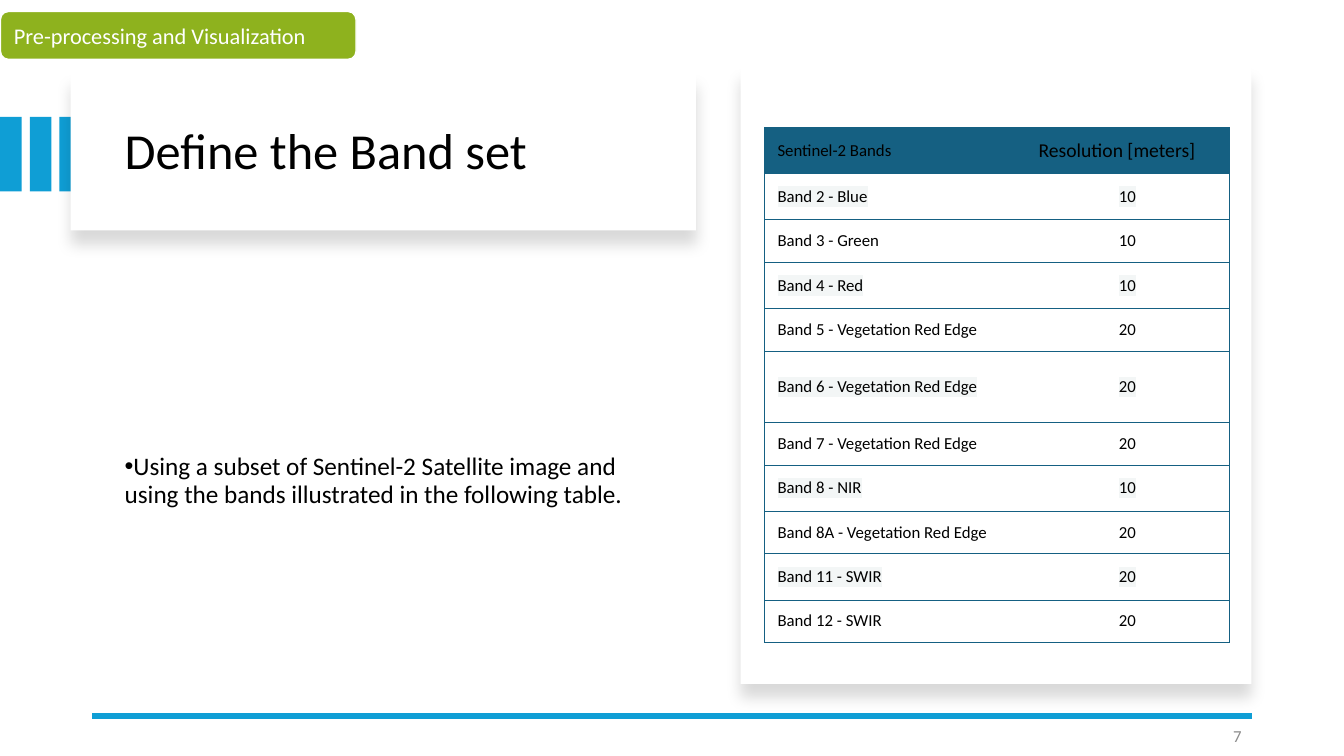
from dataclasses import dataclass

from lxml.etree import SubElement
from pptx import Presentation
from pptx.dml.color import RGBColor
from pptx.enum.shapes import MSO_CONNECTOR, MSO_SHAPE
from pptx.enum.text import MSO_ANCHOR, PP_ALIGN
from pptx.oxml.ns import qn
from pptx.shapes.autoshape import Shape
from pptx.slide import Slide
from pptx.table import _Cell
from pptx.text.text import TextFrame, _Paragraph
from pptx.util import Pt

HUES = {
    "sky": "0F9ED5",
    "teal": "156082",
    "green": "8EB21E",
    "white": "FFFFFF",
    "black": "000000",
    "gray": "8C8C8C",
    "mist": "F3F6F6",
}
FACE = "Calibri"


@dataclass
class Box:
    left: float
    top: float
    width: float
    height: float

    def spot(self) -> tuple[Pt, Pt, Pt, Pt]:
        return Pt(self.left), Pt(self.top), Pt(self.width), Pt(self.height)


@dataclass
class Label:
    box: Box
    text: str
    size: float
    hue: str = "black"
    align: PP_ALIGN = PP_ALIGN.LEFT
    after: float = 0
    lines: float = 1.0
    bullet: bool = False


@dataclass
class Band:
    name: str
    meters: int
    height: float


def color(hue: str) -> RGBColor:
    return RGBColor.from_string(HUES[hue])


def style(para: _Paragraph, size: float, hue: str) -> None:
    para.font.name = FACE
    para.font.size = Pt(size)
    para.font.color.rgb = color(hue)


def inset(frame: TextFrame | _Cell, side: float, edge: float) -> None:
    frame.margin_left = frame.margin_right = Pt(side)
    frame.margin_top = frame.margin_bottom = Pt(edge)


def add_block(slide: Slide, box: Box, hue: str, kind: MSO_SHAPE = MSO_SHAPE.RECTANGLE) -> Shape:
    shape = slide.shapes.add_shape(kind, *box.spot())
    shape.shadow.inherit = False
    shape.fill.solid()
    shape.fill.fore_color.rgb = color(hue)
    shape.line.fill.background()
    return shape


def add_panel(slide: Slide, box: Box) -> None:
    shape = add_block(slide, box, "white")
    glow = SubElement(shape.element.spPr.find(qn("a:effectLst")), qn("a:outerShdw"),
                      blurRad=str(Pt(11)), dist=str(Pt(10)), dir="5400000",
                      algn="t", rotWithShape="0")
    tint = SubElement(glow, qn("a:srgbClr"), val=HUES["black"])
    SubElement(tint, qn("a:alpha"), val="15000")


def add_label(slide: Slide, label: Label) -> None:
    frame = slide.shapes.add_textbox(*label.box.spot()).text_frame
    frame.word_wrap = True
    frame.vertical_anchor = MSO_ANCHOR.MIDDLE
    para = frame.paragraphs[0]
    para.text = label.text
    para.alignment = label.align
    para.line_spacing = label.lines
    para.space_after = Pt(label.after)
    if label.bullet:
        props = para._p.get_or_add_pPr()
        props.set("marL", "0")
        props.set("indent", str(Pt(-18)))
        SubElement(props, qn("a:buFont"), typeface="Arial")
        SubElement(props, qn("a:buChar"), char="•")
    style(para, label.size, label.hue)


def add_edges(cell: _Cell, sides: str) -> None:
    props = cell._tc.get_or_add_tcPr()
    for side in "LRTB":
        line = SubElement(props, qn(f"a:ln{side}"), w=str(Pt(0.5)))
        if side in sides:
            fill = SubElement(line, qn("a:solidFill"))
            SubElement(fill, qn("a:srgbClr"), val=HUES["teal"])
        else:
            SubElement(line, qn("a:noFill"))


def fill_cell(cell: _Cell, text: str, size: float, sides: str,
              align: PP_ALIGN = PP_ALIGN.LEFT, mark: bool = False) -> None:
    inset(cell, 9.4, 4.7)
    cell.vertical_anchor = MSO_ANCHOR.MIDDLE
    add_edges(cell, sides)
    para = cell.text_frame.paragraphs[0]
    para.text = text
    para.alignment = align
    style(para, size, "black")
    if mark:
        light = SubElement(para.runs[0]._r.get_or_add_rPr(), qn("a:highlight"))
        SubElement(light, qn("a:srgbClr"), val=HUES["mist"])


def add_bands(slide: Slide, box: Box, bands: list[Band]) -> None:
    table = slide.shapes.add_table(len(bands) + 1, 2, *box.spot()).table
    table.first_row = table.horz_banding = False
    # Plain style without grid
    table._tbl.tblPr.find(qn("a:tableStyleId")).text = "{2D5ABB26-0587-4C30-8999-92F81FD0307C}"
    for col, width in zip(table.columns, (186.5, 145.5)):
        col.width = Pt(width)
    # Header row
    table.rows[0].height = Pt(33)
    heads = (("Sentinel-2 Bands", 12, "LTB"), ("Resolution [meters]", 14, "RTB"))
    for cell, (text, size, sides) in zip(table.rows[0].cells, heads):
        fill_cell(cell, text, size, sides)
        cell.fill.solid()
        cell.fill.fore_color.rgb = color("teal")
    # Band rows, every other one marked
    for i, band in enumerate(bands):
        row = table.rows[i + 1]
        row.height = Pt(band.height)
        mark = i % 2 == 0
        fill_cell(row.cells[0], band.name, 12, "LTB", mark=mark)
        fill_cell(row.cells[1], str(band.meters), 12, "RTB", PP_ALIGN.CENTER, mark)
        for cell in row.cells:
            cell.fill.background()


BANDS = [
    Band("Band 2 - Blue", 10, 33),
    Band("Band 3 - Green", 10, 30.4),
    Band("Band 4 - Red", 10, 33),
    Band("Band 5 - Vegetation Red Edge", 20, 30.4),
    Band("Band 6 - Vegetation Red Edge", 20, 51),
    Band("Band 7 - Vegetation Red Edge", 20, 30.4),
    Band("Band 8 - NIR", 10, 33),
    Band("Band 8A - Vegetation Red Edge", 20, 30.4),
    Band("Band 11 - SWIR", 20, 33),
    Band("Band 12 - SWIR", 20, 30.4),
]
LABELS = [
    Label(Box(82, 69, 398, 81.5), "Define the Band set", 36, lines=0.9),
    Label(Box(82, 199, 393, 289.5),
          "Using a subset of Sentinel-2 Satellite image and using the bands "
          "illustrated in the following table.", 18, after=6, lines=0.9, bullet=True),
    Label(Box(678, 511, 216, 29), "7", 12, "gray", PP_ALIGN.RIGHT, 6),
]


def main() -> None:
    deck = Presentation()
    deck.slide_width, deck.slide_height = Pt(960), Pt(540)
    slide = deck.slides.add_slide(deck.slide_layouts[6])

    # Accent bars and panels
    for i in range(3):
        add_block(slide, Box(21.25 * i, 83.5, 15.4, 53.3), "sky")
    add_panel(slide, Box(50.4, 51.8, 446.6, 112.8))
    add_panel(slide, Box(529, 48, 365, 440.5))

    # Footer rule
    rule = slide.shapes.add_connector(MSO_CONNECTOR.STRAIGHT, Pt(66), Pt(511.4), Pt(894), Pt(511.4))
    rule.line.color.rgb = color("sky")
    rule.line.width = Pt(4.5)
    SubElement(rule._element.spPr, qn("a:effectLst"))

    # Text and table
    for label in LABELS:
        add_label(slide, label)
    add_bands(slide, Box(546, 91, 332, 368), BANDS)

    # Section tag
    tag = add_block(slide, Box(0.3, 8.2, 254, 34.2), "green", MSO_SHAPE.ROUNDED_RECTANGLE)
    tag.line.color.rgb = color("white")
    tag.line.width = Pt(1)
    frame = tag.text_frame
    inset(frame, 8, 0)
    frame.vertical_anchor = MSO_ANCHOR.MIDDLE
    para = frame.paragraphs[0]
    para.text = "Pre-processing and Visualization"
    para.alignment = PP_ALIGN.LEFT
    style(para, 16, "white")

    deck.save("out.pptx")


if __name__ == "__main__":
    main()
